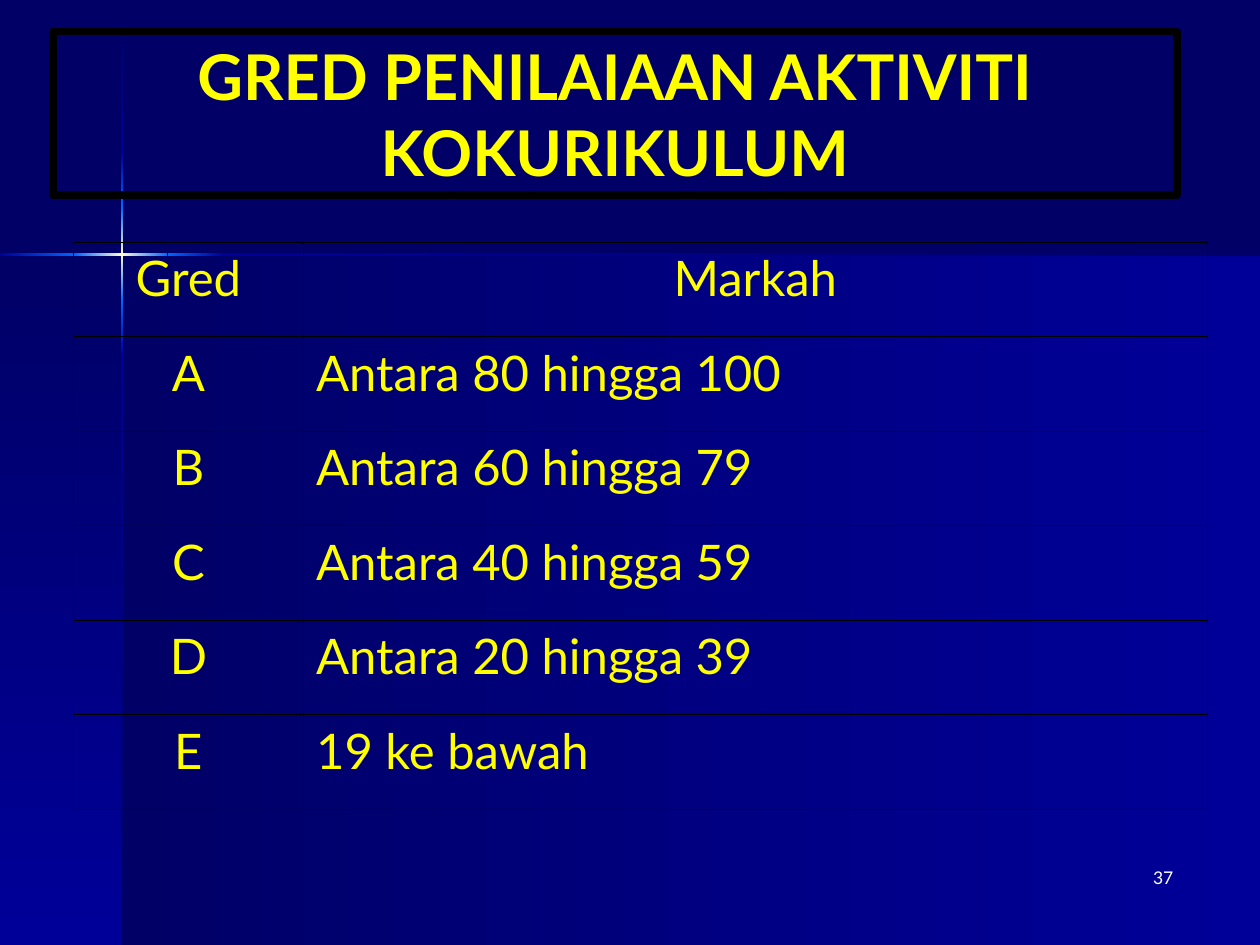
from dataclasses import dataclass

from lxml.etree import SubElement
from pptx import Presentation
from pptx.dml.color import RGBColor
from pptx.enum.shapes import MSO_SHAPE
from pptx.enum.text import MSO_ANCHOR, MSO_AUTO_SIZE, PP_ALIGN
from pptx.oxml.ns import qn
from pptx.util import Inches, Pt

COLORS = {
    "navy": "000066",
    "blue": "000099",
    "bright": "0066FF",
    "glow": "FFFFCC",
    "yellow": "FFFF00",
    "white": "FFFFFF",
    "black": "000000",
}
FONT = "Lato"
RIGHT, DOWN = 0, 90


@dataclass
class Band:
    left: float
    top: float
    width: float
    height: float
    angle: int
    colors: tuple[str, ...]


@dataclass
class Grade:
    letter: str
    marks: str


BANDS = [
    Band(0.97, 2.02, 9.03, 5.48, RIGHT, ("navy", "blue")),
    Band(0, 2.02, 0.97, 5.48, DOWN, ("navy", "blue")),
    Band(0.96, 0.01, 0.02, 1.2, DOWN, ("navy", "blue")),
    Band(0.96, 2.82, 0.02, 4.68, DOWN, ("blue", "navy")),
    Band(1.77, 2.01, 8.23, 0.02, RIGHT, ("blue", "navy")),
    Band(0.96, 2.38, 0.02, 0.44, DOWN, ("bright", "blue")),
    Band(0.96, 1.21, 0.02, 0.44, DOWN, ("blue", "bright")),
    Band(0.96, 1.65, 0.02, 0.73, DOWN, ("bright", "glow", "bright")),
    Band(0, 2.01, 0.61, 0.02, RIGHT, ("blue", "bright")),
    Band(1.33, 2.01, 0.44, 0.02, RIGHT, ("bright", "blue")),
    Band(0.6, 2.01, 0.73, 0.02, RIGHT, ("bright", "glow", "bright")),
]

GRADES = [
    Grade("Gred", "Markah"),
    Grade("A", "Antara 80 hingga 100"),
    Grade("B", "Antara 60 hingga 79"),
    Grade("C", "Antara 40 hingga 59"),
    Grade("D", "Antara 20 hingga 39"),
    Grade("E", "19 ke bawah"),
]


def rgb(name: str) -> RGBColor:
    return RGBColor.from_string(COLORS[name])


def write(frame, text: str, size: int, color: str, align, bold: bool = False) -> None:
    frame.text = text
    paragraph = frame.paragraphs[0]
    paragraph.alignment = align
    font = paragraph.runs[0].font
    font.name = FONT
    font.size = Pt(size)
    font.bold = bold
    font.color.rgb = rgb(color)


def draw_band(slide, band: Band) -> None:
    strip = slide.shapes.add_shape(
        MSO_SHAPE.RECTANGLE,
        Inches(band.left), Inches(band.top), Inches(band.width), Inches(band.height),
    )
    strip.shadow.inherit = False
    strip.line.fill.background()
    strip.fill.gradient()
    gradient = strip.element.spPr.find(qn("a:gradFill"))
    stops = gradient.find(qn("a:gsLst"))
    for stop in list(stops):
        stops.remove(stop)
    for index, name in enumerate(band.colors):
        position = 100000 * index // (len(band.colors) - 1)
        stop = SubElement(stops, qn("a:gs"), pos=str(position))
        SubElement(stop, qn("a:srgbClr"), val=COLORS[name])
    direction = gradient.find(qn("a:lin"))
    direction.set("ang", str(band.angle * 60000))
    direction.set("scaled", "0")


def draw_title(slide) -> None:
    title = slide.shapes.title
    title.element.getparent().append(title.element)
    title.left, title.top = Inches(0.42), Inches(0.25)
    title.width, title.height = Inches(8.92), Inches(1.3)
    title.line.color.rgb = rgb("black")
    title.line.width = Pt(4.5)
    frame = title.text_frame
    frame.word_wrap = True
    frame.auto_size = MSO_AUTO_SIZE.SHAPE_TO_FIT_TEXT
    frame.vertical_anchor = MSO_ANCHOR.TOP
    write(frame, "GRED PENILAIAAN AKTIVITI KOKURIKULUM", 36, "yellow", PP_ALIGN.CENTER, True)


def draw_borders(cell) -> None:
    properties = cell._tc.get_or_add_tcPr()
    for side in ("lnL", "lnR", "lnT", "lnB"):
        line = SubElement(properties, qn(f"a:{side}"), w=str(int(Pt(0.45))))
        fill = SubElement(line, qn("a:solidFill"))
        SubElement(fill, qn("a:srgbClr"), val=COLORS["black"])


def draw_grades(slide) -> None:
    table = slide.shapes.add_table(
        len(GRADES), 2, Inches(0.58), Inches(1.92), Inches(9), Inches(4.5)
    ).table
    table.first_row = False
    table.horz_banding = False
    table.columns[0].width = Inches(1.83)
    table.columns[1].width = Inches(7.17)
    for row, grade in enumerate(GRADES):
        for column, text in enumerate((grade.letter, grade.marks)):
            cell = table.cell(row, column)
            centred = row == 0 or column == 0
            align = PP_ALIGN.CENTER if centred else PP_ALIGN.LEFT
            write(cell.text_frame, text, 28, "yellow", align)
            draw_borders(cell)
            cell.fill.background()


def draw_page_number(slide) -> None:
    number = slide.shapes.add_textbox(Inches(7.33), Inches(6.83), Inches(2.08), Inches(0.5))
    number.text_frame.word_wrap = True
    write(number.text_frame, "37", 10, "white", PP_ALIGN.RIGHT)


def main() -> None:
    presentation = Presentation()
    presentation.slide_width = Inches(10)
    presentation.slide_height = Inches(7.5)
    slide = presentation.slides.add_slide(presentation.slide_layouts[5])
    slide.background.fill.solid()
    slide.background.fill.fore_color.rgb = rgb("navy")
    for band in BANDS:
        draw_band(slide, band)
    draw_title(slide)
    draw_grades(slide)
    draw_page_number(slide)
    presentation.save("out.pptx")


if __name__ == "__main__":
    main()
